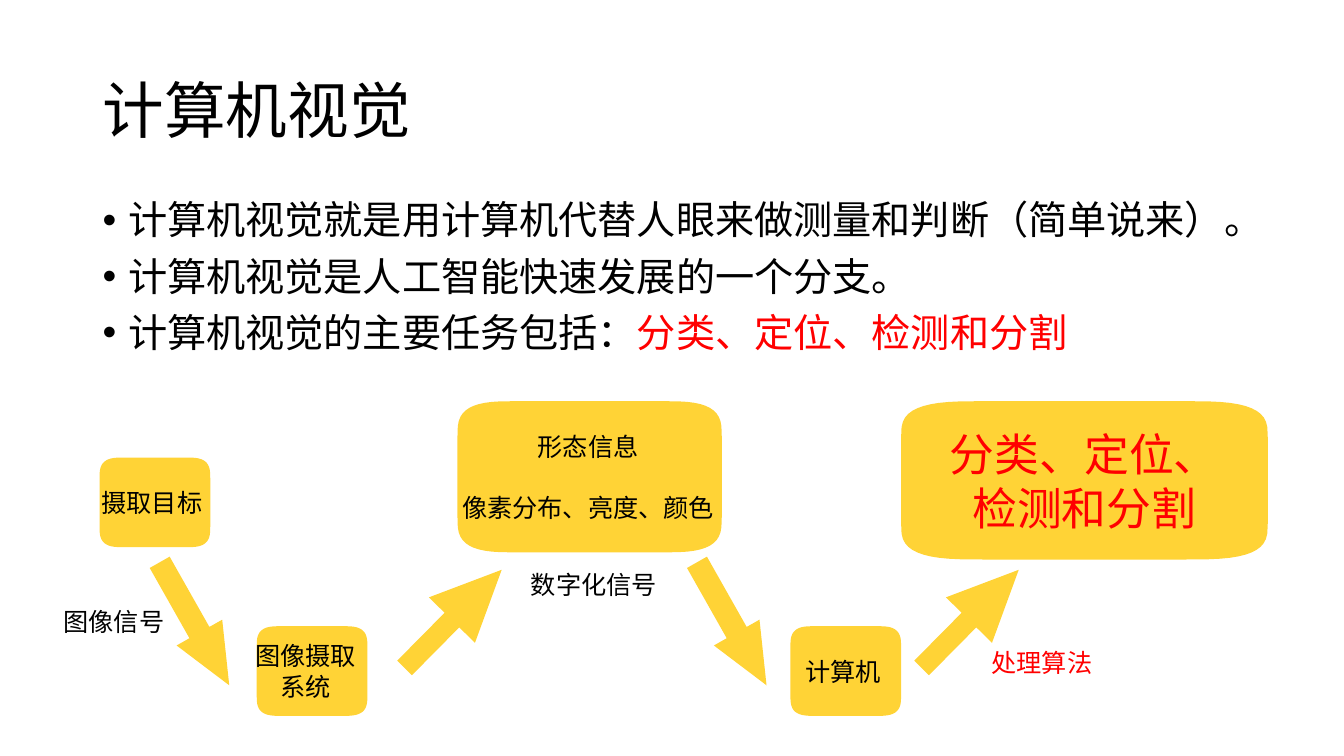
from math import cos, pi, sin

from lxml import etree
from pptx import Presentation
from pptx.dml.color import RGBColor
from pptx.enum.lang import MSO_LANGUAGE_ID
from pptx.enum.shapes import MSO_SHAPE
from pptx.enum.text import MSO_ANCHOR, PP_ALIGN
from pptx.oxml.ns import qn
from pptx.util import Cm, Pt

LEFT, CENTER = PP_ALIGN.LEFT, PP_ALIGN.CENTER
TOP, MIDDLE = MSO_ANCHOR.TOP, MSO_ANCHOR.MIDDLE
CHINESE = MSO_LANGUAGE_ID.SIMPLIFIED_CHINESE
FONT = "Noto Sans CJK SC"
BLACK, RED, YELLOW = "000000", "FF0000", "FFD336"

# Content; all lengths in cm
TITLE = "计算机视觉"
BULLETS = [
    [("计算机视觉就是用计算机代替人眼来做测量和判断（简单说来）。", BLACK)],
    [("计算机视觉是人工智能快速发展的一个分支。", BLACK)],
    [("计算机视觉的主要任务包括：", BLACK), ("分类、定位、检测和分割", RED)],
]
SMALL, SMALL_CORNER = (2.79, 2.26), (0.63, 0.53)
LOW_ROW, HIGH_ROW = 15.78, 10.11
# lines, position, size, corner radii, text size, colour, side insets, wrap, gap in points
STAGES = [
    (["摄取目标"], (2.51, 11.53), SMALL, SMALL_CORNER, 18, BLACK, (0, 0.15), False, 0),
    (["图像摄取", "系统"], (6.47, LOW_ROW), SMALL, SMALL_CORNER, 18, BLACK, (0, 0.33), False, 0),
    (["形态信息", "像素分布、亮度、颜色"], (11.53, HIGH_ROW), (6.66, 3.81), (1.52, 0.88),
     18, BLACK, (0, 0.08), False, 22),
    (["计算机"], (19.92, LOW_ROW), SMALL, SMALL_CORNER, 18, BLACK, (0, 0.15), False, 0),
    (["分类、定位、检测和分割"], (22.71, HIGH_ROW), (9.24, 3.99), (2.11, 0.91),
     32, RED, (0.85, 0.85), True, 0),
]
# top, size, rotation, adjustments
DOWN = (15.06, (3.56, 1.32), 60.5, (0.437, 1.156))
UP = (14.78, (3.48, 1.63), 314.7, (0.32, 1.093))
ARROWS = [(3.12, DOWN), (9.68, UP), (16.66, DOWN), (22.71, UP)]
SIGNALS = [
    ("图像信号", (1.45, 15.19, 2.92, 0.94), BLACK),
    ("数字化信号", (13.23, 14.27, 3.58, 0.94), BLACK),
    ("处理算法", (24.84, 16.15, 2.84, 1.07), RED),
]


def rgb(value):
    return RGBColor.from_string(value)


def format_run(run, size, color):
    run.font.size = Pt(size)
    run.font.name = FONT
    run.font.color.rgb = rgb(color)
    run.font.language_id = CHINESE
    east_asian = etree.SubElement(run.font._element, qn("a:ea"))
    east_asian.set("typeface", FONT)


def write_lines(frame, lines, size, color, align, gap=0):
    frame.text = "\n".join(lines)
    for index, paragraph in enumerate(frame.paragraphs):
        paragraph.alignment = align
        if index and gap:
            paragraph.space_before = Pt(gap)
        for run in paragraph.runs:
            format_run(run, size, color)


def set_frame(frame, anchor, sides, ends, wrap):
    frame.vertical_anchor = anchor
    frame.margin_left, frame.margin_right = map(Cm, sides)
    frame.margin_top = frame.margin_bottom = Cm(ends)
    frame.word_wrap = wrap


def paint(shape):
    shape.shadow.inherit = False
    shape.fill.solid()
    shape.fill.fore_color.rgb = rgb(YELLOW)
    shape.line.fill.background()


def soft_box_points(x, y, width, height, rx, ry, steps=12, power=3.2):
    """Outline of a box whose corners follow a superellipse."""
    points = []
    for corner in range(4):
        for step in range(steps + 1):
            angle = (corner + step / steps) * pi / 2
            right = 1 if corner in (0, 3) else -1
            lower = 1 if corner in (0, 1) else -1
            dx = abs(cos(angle)) ** (2 / power) * rx
            dy = abs(sin(angle)) ** (2 / power) * ry
            points.append((Cm(x + width / 2 + right * (width / 2 - rx + dx)),
                           Cm(y + height / 2 + lower * (height / 2 - ry + dy))))
    return points


def main():
    deck = Presentation()
    deck.slide_width, deck.slide_height = Cm(33.87), Cm(19.05)
    slide = deck.slides.add_slide(deck.slide_layouts[5])
    shapes = slide.shapes

    # Title
    title = shapes.title
    title.left, title.top, title.width, title.height = map(Cm, (2.34, 1.02, 29.21, 3.68))
    write_lines(title.text_frame, [TITLE], 44, BLACK, LEFT)
    title.text_frame.paragraphs[0].line_spacing = 0.9
    set_frame(title.text_frame, MIDDLE, (0.25, 0.25), 0.13, True)

    # Bullets
    points = shapes.add_textbox(*map(Cm, (2.34, 4.93, 29.21, 4.95))).text_frame
    set_frame(points, TOP, (0.25, 0.25), 0.13, True)
    for index, parts in enumerate(BULLETS):
        paragraph = points.add_paragraph() if index else points.paragraphs[0]
        properties = paragraph._p.get_or_add_pPr()
        properties.set("marL", str(Cm(0.64)))
        properties.set("indent", str(-Cm(0.64)))
        etree.SubElement(properties, qn("a:buFont")).set("typeface", "Arial")
        etree.SubElement(properties, qn("a:buChar")).set("char", "•")
        paragraph.line_spacing = 0.9
        if index:
            paragraph.space_before = Pt(10)
        for text, color in parts:
            run = paragraph.add_run()
            run.text = text
            format_run(run, 28, color)

    # Stages of the process
    for lines, position, size, corner, points_size, color, sides, wrap, gap in STAGES:
        start, *rest = soft_box_points(*position, *size, *corner)
        builder = shapes.build_freeform(*start)
        builder.add_line_segments(rest, close=True)
        stage = builder.convert_to_shape()
        paint(stage)
        set_frame(stage.text_frame, MIDDLE, sides, 0, wrap)
        write_lines(stage.text_frame, lines, points_size, color, CENTER, gap)

    # Arrows between stages
    for left, (top, size, rotation, adjustments) in ARROWS:
        arrow = shapes.add_shape(MSO_SHAPE.RIGHT_ARROW, *map(Cm, (left, top, *size)))
        arrow.rotation = rotation
        for index, value in enumerate(adjustments):
            arrow.adjustments[index] = value
        paint(arrow)

    # Signal labels
    for text, area, color in SIGNALS:
        signal = shapes.add_textbox(*map(Cm, area)).text_frame
        set_frame(signal, MIDDLE, (0.15, 0.15), 0.15, False)
        write_lines(signal, [text], 18, color, LEFT)

    deck.save("out.pptx")


if __name__ == "__main__":
    main()
